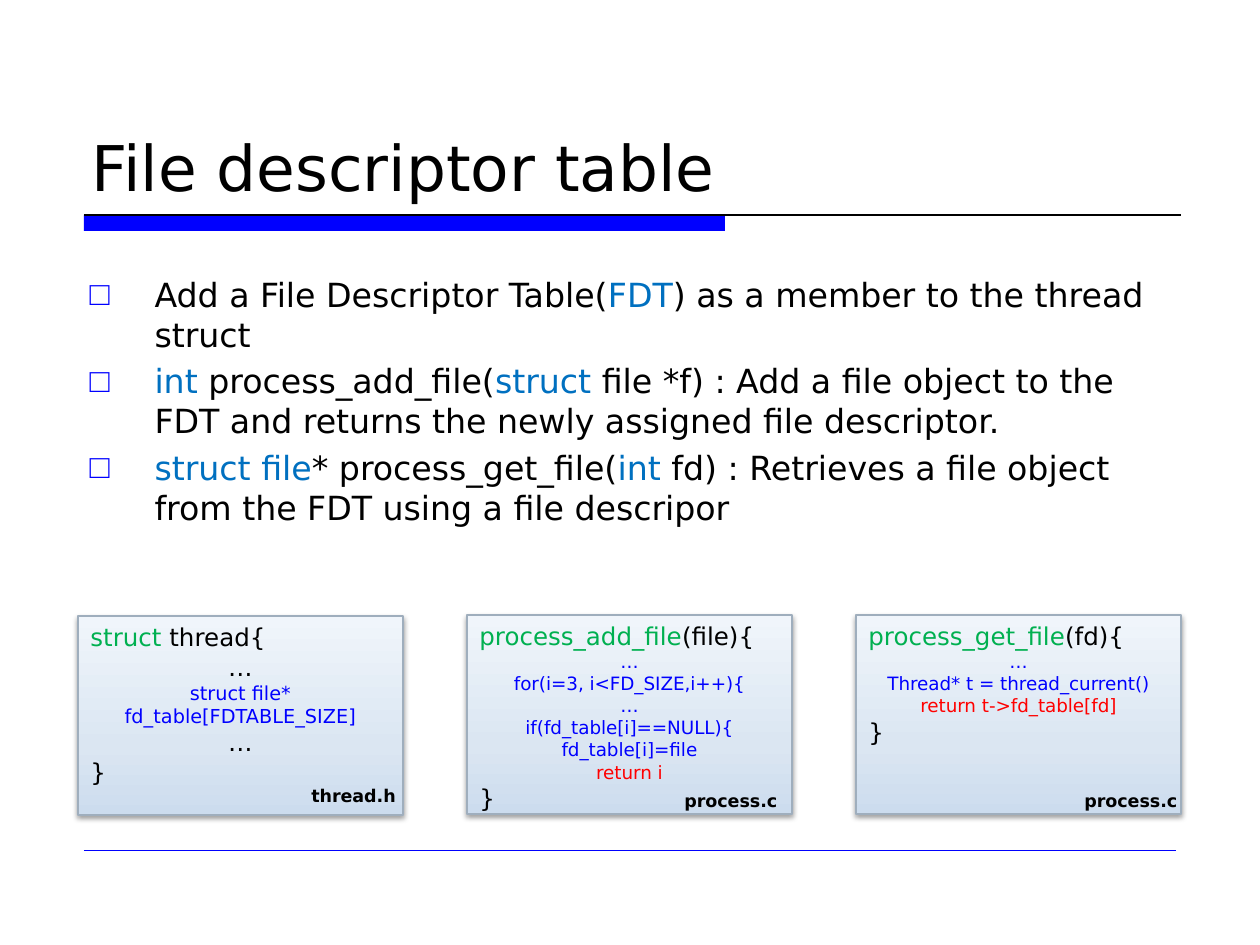
import copy

import pptx
import pptx.dml.color
import pptx.enum.shapes
import pptx.enum.text
import pptx.oxml
import pptx.oxml.ns
import pptx.util

RGB = pptx.dml.color.RGBColor
BLACK = RGB(0x00, 0x00, 0x00)
BLUE = RGB(0x00, 0x00, 0xFF)
KEYWORD = RGB(0x00, 0x70, 0xC0)
GREEN = RGB(0x00, 0xB0, 0x50)
RED = RGB(0xFF, 0x00, 0x00)
BOX_LINE = RGB(0x9F, 0xAE, 0xBD)
BOX_STOPS = [(0, RGB(0xCC, 0xDC, 0xEE)), (0.35, RGB(0xDB, 0xE6, 0xF2)),
             (1, RGB(0xF0, 0xF5, 0xFB))]
FONT = "DejaVu Sans"
PX = 914400 // 126
ANCHOR = pptx.enum.text.MSO_ANCHOR
ALIGN = pptx.enum.text.PP_ALIGN
RECT = pptx.enum.shapes.MSO_SHAPE.RECTANGLE
NS = pptx.oxml.ns.nsdecls("a")


def xml(tag, attributes="", content=""):
    return pptx.oxml.parse_xml(f"<a:{tag} {NS} {attributes}>{content}</a:{tag}>")


def add_run(p, text, *, size, color=BLACK, bold=False):
    r = p.add_run()
    r.text = text
    r.font.name, r.font.size = FONT, pptx.util.Pt(size)
    r.font.bold, r.font.color.rgb = bold, color


class Deck:
    def __init__(self, width, height):
        self.prs = pptx.Presentation()
        self.prs.slide_width, self.prs.slide_height = width * PX, height * PX
        self.s = self.prs.slides.add_slide(self.prs.slide_layouts[1])

    def place(self, sp, x, y, w, h):
        sp.left, sp.top, sp.width, sp.height = (v * PX for v in (x, y, w, h))

    def frame(self, sp, anchor=ANCHOR.TOP):
        tf = sp.text_frame
        tf.word_wrap, tf.vertical_anchor = True, anchor
        tf.auto_size = pptx.enum.text.MSO_AUTO_SIZE.NONE
        return tf

    def paragraphs(self, tf, count):
        return [tf.paragraphs[0]] + [tf.add_paragraph() for _ in range(count - 1)]

    def title(self, text, *at):
        sp = self.s.shapes.title
        self.place(sp, *at)
        p = self.frame(sp, ANCHOR.BOTTOM).paragraphs[0]
        p.alignment = ALIGN.LEFT
        add_run(p, text, size=36)

    def bullets(self, items, *at):
        sp = self.s.placeholders[1]
        self.place(sp, *at)
        for i, (p, runs) in enumerate(zip(self.paragraphs(self.frame(sp), len(items)), items)):
            pPr = p._p.get_or_add_pPr()
            pPr.set("marL", str(65 * PX))
            pPr.set("indent", str(-65 * PX))
            pPr.append(xml("buClr", content=f'<a:srgbClr val="{BLUE}"/>'))
            pPr.append(xml("buChar", 'char="□"'))
            p.space_before = pptx.util.Pt(3.8 if i else 0)
            for text, color in runs:
                add_run(p, text, size=19, color=color)

    def bar(self, *at):
        sp = self.s.shapes.add_shape(RECT, 0, 0, 0, 0)
        self.place(sp, *at)
        sp.shadow.inherit = False
        sp.fill.solid()
        sp.fill.fore_color.rgb = BLUE
        sp.line.fill.background()

    def rule(self, x1, x2, y, color, width):
        line = self.s.shapes.add_connector(
            pptx.enum.shapes.MSO_CONNECTOR.STRAIGHT, x1 * PX, y * PX, x2 * PX, y * PX)
        line.line.color.rgb, line.line.width = color, pptx.util.Pt(width)
        line._element.spPr.append(xml("effectLst"))

    def code_box(self, lines, *at):
        """Draw a shaded box; each line is (alignment, size, [(text, color), ...])."""
        sp = self.s.shapes.add_shape(RECT, 0, 0, 0, 0)
        self.place(sp, *at)
        sp.fill.gradient()
        sp.fill.gradient_angle = 90
        spPr = sp._element.spPr
        stops = spPr.find(".//" + pptx.oxml.ns.qn("a:gsLst"))
        stops.append(copy.deepcopy(stops[0]))
        for stop, (position, color) in zip(sp.fill.gradient_stops, BOX_STOPS):
            stop.position, stop.color.rgb = position, color
        sp.line.color.rgb, sp.line.width = BOX_LINE, pptx.util.Pt(0.75)
        sp.shadow.inherit = False
        spPr.find(pptx.oxml.ns.qn("a:effectLst")).append(xml(
            "outerShdw", 'blurRad="40000" dist="20000" dir="5400000" rotWithShape="0"',
            '<a:srgbClr val="000000"><a:alpha val="38000"/></a:srgbClr>'))
        for p, (align, size, runs) in zip(self.paragraphs(self.frame(sp), len(lines)), lines):
            p.alignment = align
            for text, color in runs:
                add_run(p, text, size=size, color=color)

    def label(self, text, *at):
        sp = self.s.shapes.add_textbox(0, 0, 0, 0)
        self.place(sp, *at)
        add_run(self.frame(sp).paragraphs[0], text, size=10, bold=True)


def outer(*runs):
    return ALIGN.LEFT, 14, runs


def inner(text, color=BLUE, size=10.5):
    return ALIGN.CENTER, size, [(text, color)]


BULLETS = [
    [("Add a File Descriptor Table(", BLACK), ("FDT", KEYWORD),
     (") as a member to the thread struct", BLACK)],
    [("int ", KEYWORD), ("process_add_file(", BLACK), ("struct", KEYWORD),
     (" file *f) : Add a file object to the FDT and returns the newly assigned "
      "file descriptor.", BLACK)],
    [("struct file", KEYWORD), ("* process_get_file(", BLACK), ("int ", KEYWORD),
     ("fd) : Retrieves a file object from the FDT using a file descripor", BLACK)],
]
CLOSE = outer(("}", BLACK))
THREAD = [
    outer(("struct", GREEN), (" thread{", BLACK)),
    inner("…", BLACK, 14),
    inner("struct file* fd_table[FDTABLE_SIZE]", size=11),
    inner("…", BLACK, 14),
    CLOSE,
]
ADD_FILE = [
    outer(("process_add_file", GREEN), ("(file){", BLACK)),
    inner("…"),
    inner("for(i=3, i<FD_SIZE,i++){"),
    inner("…"),
    inner("if(fd_table[i]==NULL){"),
    inner("fd_table[i]=file"),
    inner("return i", RED),
    CLOSE,
]
GET_FILE = [
    outer(("process_get_file", GREEN), ("(fd){", BLACK)),
    inner("…"),
    inner("Thread* t = thread_current()"),
    inner("return t->fd_table[fd]", RED),
    CLOSE,
]
# lines, box top, file name, label left, label top
BOXES = [
    (THREAD, 616, "thread.h", 299, 779),
    (ADD_FILE, 615, "process.c", 672, 784),
    (GET_FILE, 615, "process.c", 1072, 784),
]


def main():
    deck = Deck(1260, 945)
    deck.bar(84, 215, 641, 16)
    deck.rule(84, 1181, 215, BLACK, 0.75)
    deck.rule(84, 1176, 850, BLUE, 0.25)
    deck.title("File descriptor table", 79, 42, 1103, 168)
    deck.bullets(BULLETS, 77, 268, 1108, 299)
    for i, (lines, top, name, x, y) in enumerate(BOXES):
        deck.code_box(lines, 78 + 389 * i, top, 325, 199)
        deck.label(name, x, y, 126, 35)
    deck.prs.save("out.pptx")


if __name__ == "__main__":
    main()
